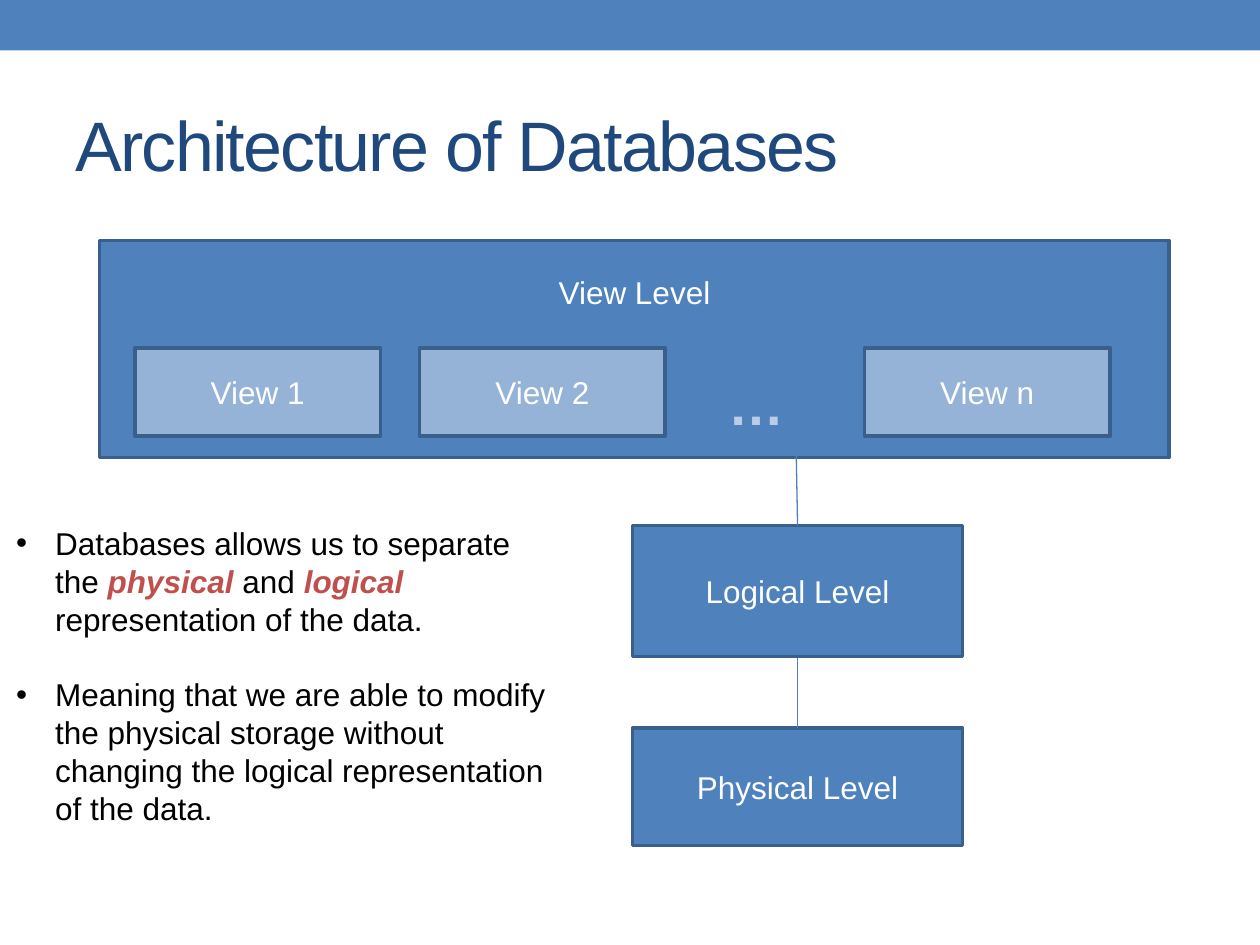
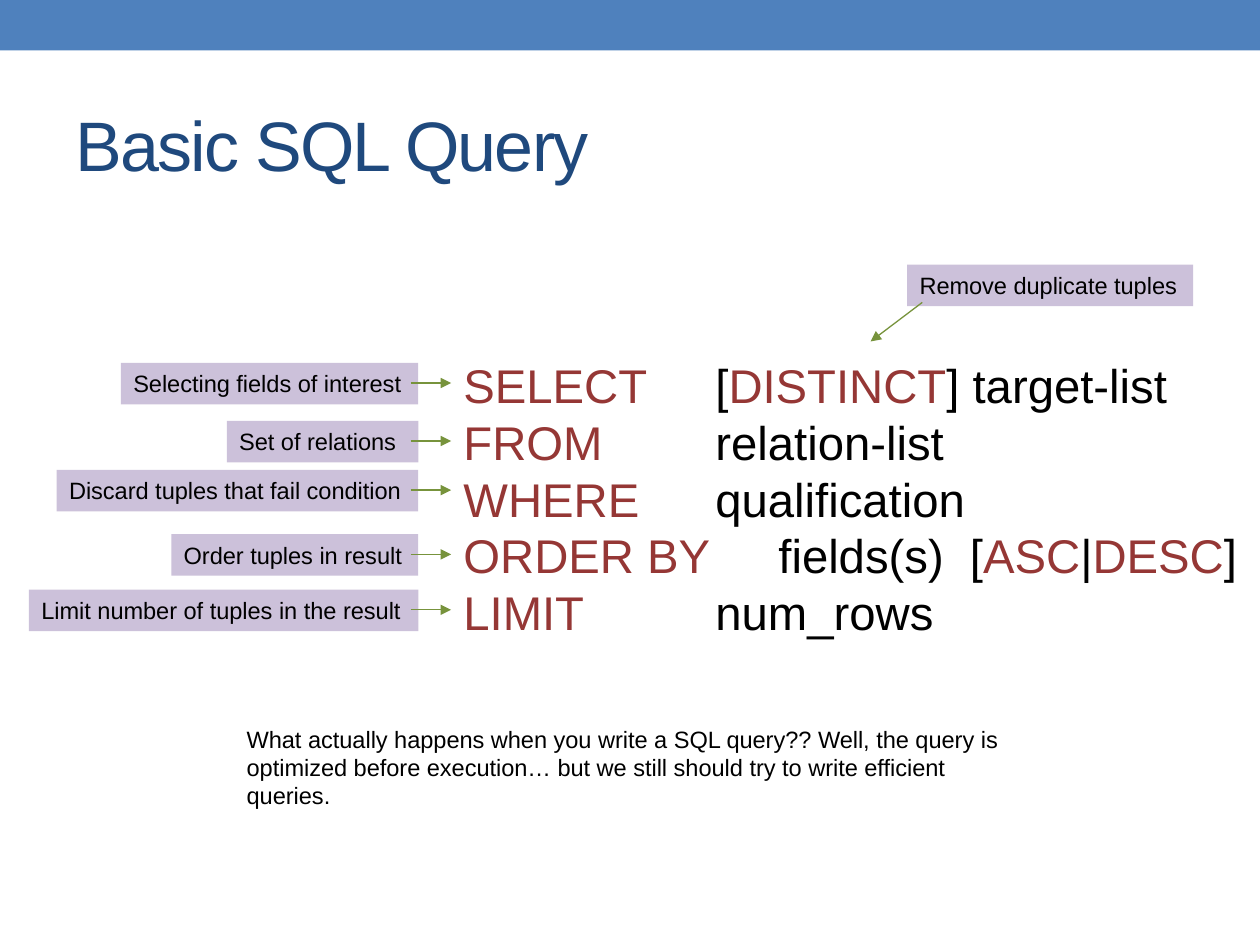
from pptx import Presentation
from pptx.util import Inches, Pt
from pptx.dml.color import RGBColor
from pptx.enum.shapes import MSO_SHAPE as SHAPE, MSO_CONNECTOR as CONN
from pptx.enum.text import PP_ALIGN as ALIGN, MSO_ANCHOR as ANCHOR
from pptx.oxml.ns import qn
from lxml.etree import SubElement

C = {
    "blue": "4F81BD", "edge": "3A5F8C", "light": "95B3D7", "pale": "B9CDE5",
    "title": "1F497D", "red": "C0504D", "keyword": "953735",
    "label": "CCC1DA", "arrow": "77933C", "white": "FFFFFF", "black": "000000",
}
FONT = "Arial"
BODY, SMALL, QUERY = 18, 13.5, 27
LINE_PITCH = 1.2


def add_text(slide, text, x, y, w, h, size=BODY, color="black", fill=None, line=None,
             align=ALIGN.LEFT, anchor=ANCHOR.TOP, wrap=True, bold=False, spc=0,
             top=0.05, bullet=False, gap=0, tabs=()):
    """text is a string or a list of paragraphs; a paragraph is a list of (text, colour, emphasis)."""
    box = [Inches(v) for v in (x, y, w, h)]
    if fill:
        s = slide.shapes.add_shape(SHAPE.RECTANGLE, *box)
        s.shadow.inherit = False
        s.fill.solid()
        s.fill.fore_color.rgb = RGBColor.from_string(C[fill])
        if line:
            s.line.color.rgb = RGBColor.from_string(C[line])
            s.line.width = Pt(2.08)
        else:
            s.line.fill.background()
    else:
        s = slide.shapes.add_textbox(*box)
    if not text:
        return
    tf = s.text_frame
    tf.word_wrap = wrap
    tf.vertical_anchor = anchor
    tf.margin_top = Inches(top)
    paragraphs = [[(text, color, False)]] if isinstance(text, str) else text
    for i, runs in enumerate(paragraphs):
        p = tf.paragraphs[0] if i == 0 else tf.add_paragraph()
        p.alignment = align
        p.line_spacing = Pt(size * LINE_PITCH)
        p.space_before = Pt(gap if i else 0)
        pPr = p._p.get_or_add_pPr()
        if bullet:
            pPr.set("marL", str(Inches(0.31)))
            pPr.set("indent", str(-Inches(0.31)))
            SubElement(pPr, qn("a:buFont"), typeface=FONT)
            SubElement(pPr, qn("a:buChar"), char="•")
        if tabs:
            stops = SubElement(pPr, qn("a:tabLst"))
            for pos in tabs:
                SubElement(stops, qn("a:tab"), pos=str(Inches(pos)), algn="l")
        for words, run_color, emphasis in runs:
            r = p.add_run()
            r.text = words
            r.font.name = FONT
            r.font.size = Pt(size)
            r.font.bold = bold or emphasis
            r.font.italic = emphasis
            r.font.color.rgb = RGBColor.from_string(C[run_color])
            if spc:
                r._r.get_or_add_rPr().set("spc", str(spc))


def add_line(slide, x1, y1, x2, y2, color="blue", arrow=False):
    c = slide.shapes.add_connector(CONN.STRAIGHT, *[Inches(v) for v in (x1, y1, x2, y2)])
    c.line.color.rgb = RGBColor.from_string(C[color])
    c.line.width = Pt(0.75)
    if arrow:
        SubElement(c.line._get_or_add_ln(), qn("a:tailEnd"), type="triangle")
    SubElement(c._element.spPr, qn("a:effectLst"))


prs = Presentation()
prs.slide_width, prs.slide_height = Inches(10), Inches(7.5)

# Band and title on every slide
slides = []
for title in ("Architecture of Databases", "Basic SQL Query"):
    slide = prs.slides.add_slide(prs.slide_layouts[6])
    add_text(slide, "", 0, 0, 10, 0.4, fill="blue")
    add_text(slide, title, 0.5, 0.6, 9, 1.08, size=40, color="title",
             anchor=ANCHOR.MIDDLE, spc=-100)
    slides.append(slide)
architecture, query = slides

# Architecture: three levels, with the views inside the first
level = dict(color="white", fill="blue", line="edge", align=ALIGN.CENTER)
add_text(architecture, "View Level", 0.79, 1.91, 8.49, 1.72, top=0.26, **level)
for name, y, h in (("Logical Level", 4.17, 1.04), ("Physical Level", 5.78, 0.93)):
    add_text(architecture, name, 5.02, y, 2.62, h, anchor=ANCHOR.MIDDLE, **level)
for name, x in (("View 1", 1.07), ("View 2", 3.33), ("View n", 6.86)):
    add_text(architecture, name, x, 2.76, 1.95, 0.7, anchor=ANCHOR.MIDDLE,
             **{**level, "fill": "light"})
add_text(architecture, "…", 5.68, 2.88, 0.65, 0.64, size=32, color="pale",
         bold=True, wrap=False)
add_line(architecture, 6.32, 3.62, 6.33, 4.17)
add_line(architecture, 6.33, 5.22, 6.33, 5.78)

add_text(architecture, [
    [("Databases allows us to separate the ", "black", False),
     ("physical", "red", True), (" and ", "black", False), ("logical ", "red", True),
     ("representation of the data.", "black", False)],
    [("Meaning that we are able to modify the physical storage without changing "
      "the logical representation of the data.", "black", False)],
], 0.03, 4.11, 4.44, 2.52, bullet=True, gap=BODY * LINE_PITCH)

# Query: clauses in two columns; ORDER BY runs past the first tab stop
clauses = [
    [("SELECT\t", "keyword"), ("[", "black"), ("DISTINCT", "keyword"),
     ("] target-list", "black")],
    [("FROM\t", "keyword"), ("relation-list", "black")],
    [("WHERE\t", "keyword"), ("qualification", "black")],
    [("ORDER BY \t", "keyword"), ("fields(s)  [", "black"), ("ASC", "keyword"),
     ("|", "black"), ("DESC", "keyword"), ("]", "black")],
    [("LIMIT\t", "keyword"), ("num_rows", "black")],
]
add_text(query, [[(*run, False) for run in clause] for clause in clauses],
         3.58, 2.78, 6.4, 2.37, size=QUERY, tabs=(2, 2.5))

# Labels end at one right edge, each with an arrow to its clause
LABEL_RIGHT, LABEL_H = 3.32, 0.33
label = dict(size=SMALL, fill="label", wrap=False)
notes = [
    ("Selecting fields of interest", 2.88, 2.36),
    ("Set of relations", 3.34, 1.52),
    ("Discard tuples that fail condition", 3.73, 2.87),
    ("Order tuples in result", 4.24, 1.96),
    ("Limit number of tuples in the result", 4.68, 3.09),
]
for words, y, w in notes:
    add_text(query, words, LABEL_RIGHT - w, y, w, LABEL_H, **label)
    add_line(query, 3.26, y + 0.16, 3.58, y + 0.16, color="arrow", arrow=True)
add_text(query, "Remove duplicate tuples", 7.2, 2.1, 2.27, LABEL_H, **label)
add_line(query, 7.32, 2.4, 6.91, 2.71, color="arrow", arrow=True)

add_text(query, "What actually happens when you write a SQL query?? Well, the query is "
         "optimized before execution… but we still should try to write efficient queries.",
         1.86, 5.7, 6.26, 0.78, size=SMALL)

prs.save("out.pptx")
